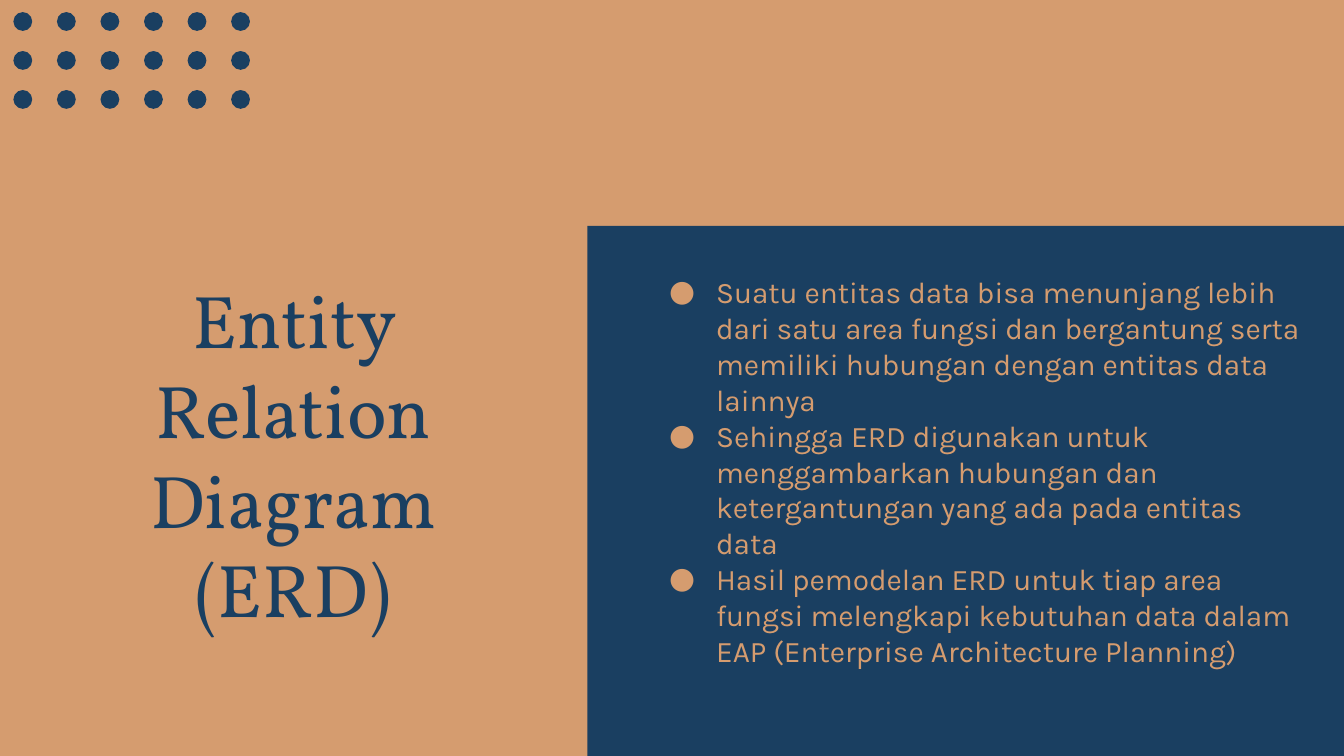
from dataclasses import dataclass

from lxml import etree
from pptx import Presentation
from pptx import util as u
from pptx.dml.color import RGBColor
from pptx.enum import shapes, text
from pptx.oxml.ns import qn


@dataclass(frozen=True)
class Theme:
    sand: str = "D59C6F"
    navy: str = "1A3F61"
    title_font: str = "Vollkorn"
    body_font: str = "Karla"
    title_size: float = 40
    body_size: float = 16
    leading: float = 1.2


THEME = Theme()
WIDTH = u.Inches(10)
HEIGHT = WIDTH * 9 // 16

TITLE = "Entity Relation Diagram (ERD)"
POINTS = [
    "Suatu entitas data bisa menunjang lebih dari satu area fungsi dan "
    "bergantung serta memiliki hubungan dengan entitas data lainnya",
    "Sehingga ERD digunakan untuk menggambarkan hubungan dan "
    "ketergantungan yang ada pada entitas data",
    "Hasil pemodelan ERD untuk tiap area fungsi melengkapi kebutuhan "
    "data dalam EAP (Enterprise Architecture Planning)",
]


def add_solid(parent, kind, left, top, width, height, color):
    shape = parent.add_shape(kind, left, top, width, height)
    shape.shadow.inherit = False
    shape.fill.solid()
    shape.fill.fore_color.rgb = RGBColor.from_string(color)
    shape.line.fill.background()
    return shape


def add_dot_grid(page, columns, rows):
    """Group of equal dots on an even grid."""
    left, top, size = u.Inches(0.1), u.Inches(0.09), u.Inches(0.14)
    step_x, step_y = u.Inches(1.62) / (columns - 1), u.Inches(0.29)
    group = page.shapes.add_group_shape()
    for row in range(rows):
        for column in range(columns):
            add_solid(group.shapes, shapes.MSO_SHAPE.OVAL,
                      int(left + column * step_x), top + row * step_y,
                      size, size, THEME.navy)


def add_box(page, left, top, width, height):
    box = page.shapes.add_textbox(*map(u.Inches, (left, top, width, height)))
    frame = box.text_frame
    frame.word_wrap = True
    frame.vertical_anchor = text.MSO_ANCHOR.TOP
    frame.margin_left = frame.margin_right = u.Inches(0.1)
    frame.margin_top = frame.margin_bottom = u.Inches(0.1)
    return frame


def add_span(para, words, font, size, color):
    para.line_spacing = u.Pt(size * THEME.leading)
    span = para.add_run()
    span.text = words
    span.font.name = font
    span.font.size = u.Pt(size)
    span.font.color.rgb = RGBColor.from_string(color)


def add_bullet(para, font, color):
    props = para._p.get_or_add_pPr()
    props.set("marL", str(u.Inches(0.5)))
    props.set("indent", str(u.Inches(-0.35)))
    tint = etree.SubElement(props, qn("a:buClr"))
    etree.SubElement(tint, qn("a:srgbClr"), val=color)
    etree.SubElement(props, qn("a:buFont"), typeface=font)
    etree.SubElement(props, qn("a:buChar"), char="●")


def main():
    deck = Presentation()
    deck.slide_width, deck.slide_height = WIDTH, HEIGHT
    page = deck.slides.add_slide(deck.slide_layouts[6])
    page.background.fill.solid()
    page.background.fill.fore_color.rgb = RGBColor.from_string(THEME.sand)

    # Panel reaching the lower right corner
    left, top = int(WIDTH * 0.437), int(HEIGHT * 0.299)
    add_solid(page.shapes, shapes.MSO_SHAPE.RECTANGLE,
              left, top, WIDTH - left, HEIGHT - top, THEME.navy)

    # Title
    frame = add_box(page, 0.83, 1.94, 2.71, 3.01)
    para = frame.paragraphs[0]
    para.alignment = text.PP_ALIGN.CENTER
    add_span(para, TITLE, THEME.title_font, THEME.title_size, THEME.navy)

    # Bullet list
    frame = add_box(page, 4.73, 1.94, 5.06, 3.47)
    for index, point in enumerate(POINTS):
        para = frame.add_paragraph() if index else frame.paragraphs[0]
        add_bullet(para, THEME.body_font, THEME.sand)
        add_span(para, point, THEME.body_font, THEME.body_size, THEME.sand)

    # Corner ornament
    add_dot_grid(page, columns=6, rows=3)

    deck.save("out.pptx")


if __name__ == "__main__":
    main()
